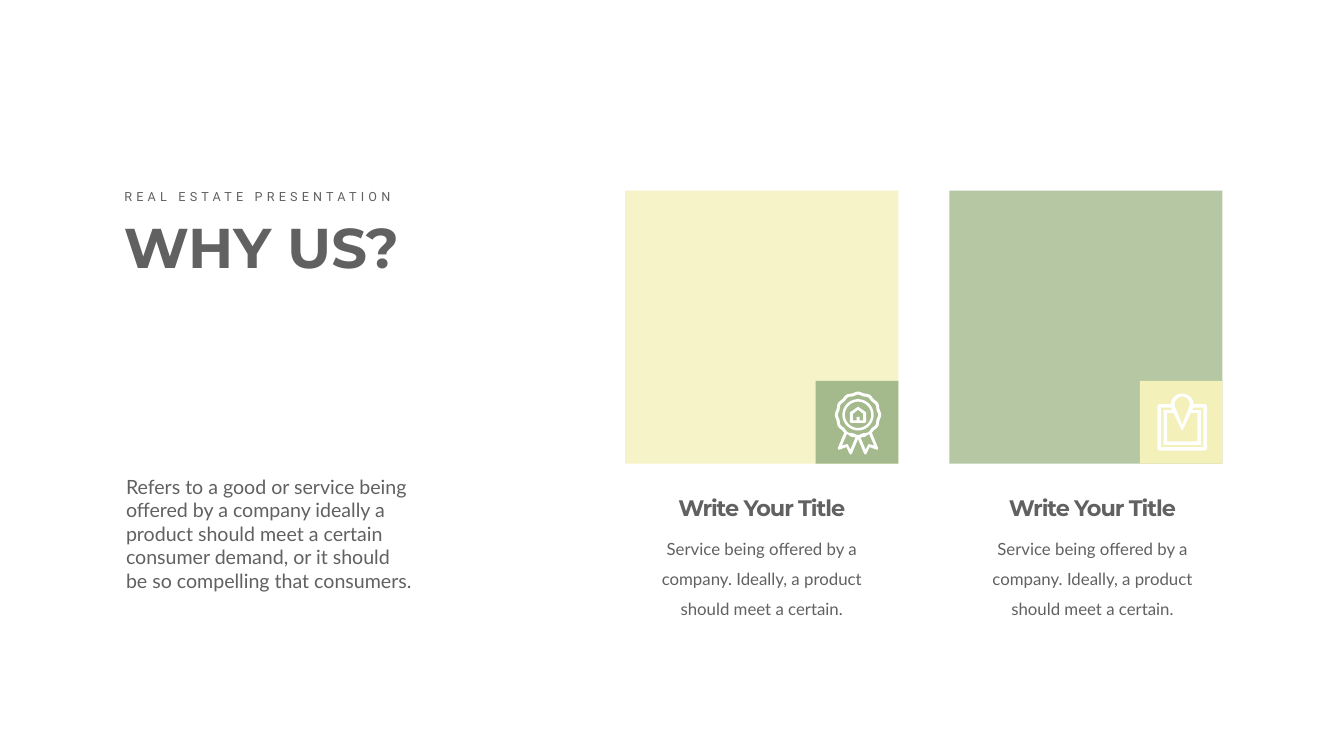
import math
import pptx
import pptx.util
import pptx.dml.color
import pptx.enum.shapes
import pptx.enum.text
import pptx.oxml.ns
import lxml.etree

WIDTH, HEIGHT = 26.66, 15
COLOURS = {"cream": "F3F0B9", "sage": "A3B98C", "text": "606160", "white": "FFFFFF"}
CARD_TOP, CARD_SIDE, CARD_PITCH = 3.78, 5.42, 6.43
CARD_LEFT, CAPTION_CENTRE, CAPTION_PITCH = 12.4, 15.11, 6.56
TILE_SIDE = 1.64
BODY_INSETS = {"margin_left": 0.24, "margin_right": 0.24, "margin_top": 0.12, "margin_bottom": 0.12}
FORMATS = {
    "title": {"name": "Montserrat", "size": pptx.util.Pt(80), "bold": True},
    "kicker": {"name": "Roboto", "size": pptx.util.Pt(18)},
    "lead": {"name": "Lato", "size": pptx.util.Pt(28)},
    "heading": {"name": "Montserrat", "size": pptx.util.Pt(32), "bold": True},
    "body": {"name": "Lato", "size": pptx.util.Pt(24)},
}
TRACKING = {"kicker": 600, "heading": -150}


def colour(name):
    return pptx.dml.color.RGBColor.from_string(COLOURS[name])


def paint(shape, name, opacity=100):
    shape.shadow.inherit = False
    shape.line.fill.background()
    shape.fill.solid()
    shape.fill.fore_color.rgb = colour(name)
    if opacity < 100:
        tag = pptx.oxml.ns.qn("a:srgbClr")
        for node in shape.fill._xPr.iter(tag):
            alpha = lxml.etree.SubElement(node, pptx.oxml.ns.qn("a:alpha"))
            alpha.set("val", str(opacity * 1000))


def add_square(page, left, top, side, name, opacity):
    inches = [pptx.util.Inches(value) for value in (left, top, side, side)]
    square = page.shapes.add_shape(pptx.enum.shapes.MSO_SHAPE.RECTANGLE, *inches)
    paint(square, name, opacity)


def add_outline(page, contours):
    paths = [[(pptx.util.Inches(x), pptx.util.Inches(y)) for x, y in contour]
             for contour in contours]
    builder = page.shapes.build_freeform(*paths[0][0], scale=1.0)
    builder.add_line_segments(paths[0][1:], close=True)
    for path_points in paths[1:]:
        builder.move_to(*path_points[0])
        builder.add_line_segments(path_points[1:], close=True)
    paint(builder.convert_to_shape(), "white")


def add_text(page, text, kind, area, insets=None, centred=False, line_spacing=None):
    box = page.shapes.add_textbox(*[pptx.util.Inches(value) for value in area])
    frame = box.text_frame
    frame.word_wrap = True
    frame.auto_size = pptx.enum.text.MSO_AUTO_SIZE.SHAPE_TO_FIT_TEXT
    for key, value in (insets or {}).items():
        setattr(frame, key, pptx.util.Inches(value))
    para = frame.paragraphs[0]
    if centred:
        para.alignment = pptx.enum.text.PP_ALIGN.CENTER
    if line_spacing:
        para.line_spacing = pptx.util.Pt(line_spacing)
    span = para.add_run()
    span.text = text
    for key, value in FORMATS[kind].items():
        setattr(span.font, key, value)
    span.font.color.rgb = colour("text")
    if kind in TRACKING:
        span._r.get_or_add_rPr().set("spc", str(TRACKING[kind]))


def arc(centre, radius, start=-180, end=180, ripple=0, lobes=12):
    points = []
    for degrees in range(start, end + 1, 3):
        angle = math.radians(degrees)
        reach = radius + ripple * math.cos(lobes * angle)
        points.append((centre[0] + reach * math.sin(angle), centre[1] - reach * math.cos(angle)))
    return points


def mirror(points, axis):
    return [(2 * axis - x, y) for x, y in reversed(points)]


def symmetric(points, axis):
    return points + mirror(points, axis)


def add_badge(page):
    centre = (17.02, 8.23)
    axis = centre[0]
    tail = [(17.3, 8.6), (17.42, 8.89), (17.41, 8.92), (17.38, 8.92), (17.25, 8.87),
            (17.19, 9), (17.17, 9.02), (17.14, 9), (axis, 8.71)]
    gap = [(17.24, 8.61), (17.34, 8.84), (17.23, 8.81), (17.17, 8.92), (17.07, 8.68),
           (17.15, 8.67)]
    rim = arc(centre, 0.45, -141, 141, 0.01)
    hole = arc(centre, 0.39, ripple=0.01)
    add_outline(page, [rim + symmetric(tail, axis), hole, gap, mirror(gap, axis)])
    add_outline(page, [arc(centre, 0.31), arc(centre, 0.26)])
    house = [(axis, 8.07), (17.18, 8.18), (17.18, 8.37), (17.16, 8.39)]
    room = [(axis, 8.13), (17.12, 8.21), (17.12, 8.34), (17.05, 8.34), (17.05, 8.27)]
    add_outline(page, [symmetric(house, axis), symmetric(room, axis)])


def add_map_pin(page):
    axis = 23.45
    frame = [(23.68, 8.02), (23.91, 8.02), (23.94, 8.05), (23.94, 8.91), (23.91, 8.94)]
    groove = [(23.67, 8.09), (23.87, 8.09), (23.87, 8.87)]
    groove_inside = [(23.82, 8.83), (23.82, 8.14), (23.65, 8.14)]
    field = [(axis, 8.55), (23.62, 8.2), (23.75, 8.2), (23.75, 8.76)]
    add_outline(page, [
        arc((axis, 8.04), 0.23, -84, 84) + symmetric(frame, axis),
        groove + mirror(groove, axis) + mirror(groove_inside, axis) + groove_inside,
        symmetric(field, axis),
        arc((axis, 8.02), 0.15, -108, 108) + [(axis, 8.43)],
    ])


def add_card(page, column, fill, fill_opacity, tile, tile_opacity, add_icon):
    left = CARD_LEFT + column * CARD_PITCH
    inset = CARD_SIDE - TILE_SIDE
    add_square(page, left, CARD_TOP, CARD_SIDE, fill, fill_opacity)
    add_square(page, left + inset, CARD_TOP + inset, TILE_SIDE, tile, tile_opacity)
    add_icon(page)
    centre = CAPTION_CENTRE + column * CAPTION_PITCH
    add_text(page, "Service being offered by a company. Ideally, a product should meet a certain.",
             "body", (centre - 2.6, 10.37, 5.2, 2), BODY_INSETS, True, 43)
    add_text(page, "Write Your Title", "heading", (centre - 2.51, 9.75, 5.02, 0.64), centred=True)


def main():
    deck = pptx.Presentation()
    deck.slide_width = pptx.util.Inches(WIDTH)
    deck.slide_height = pptx.util.Inches(HEIGHT)
    page = deck.slides.add_slide(deck.slide_layouts[6])
    add_text(page, "WHY US?", "title", (2.36, 4.17, 6.06, 1.45))
    add_text(page, "REAL ESTATE PRESENTATION", "kicker", (2.37, 3.69, 5.64, 0.4))
    add_text(page, "Refers to a good or service being offered by a company ideally a product "
             "should meet a certain consumer demand, or it should be so compelling that consumers.",
             "lead", (2.26, 9.3, 6.17, 2.6), BODY_INSETS)
    add_card(page, 0, "cream", 80, "sage", 98, add_badge)
    add_card(page, 1, "sage", 80, "cream", 100, add_map_pin)
    deck.save("out.pptx")


if __name__ == "__main__":
    main()
